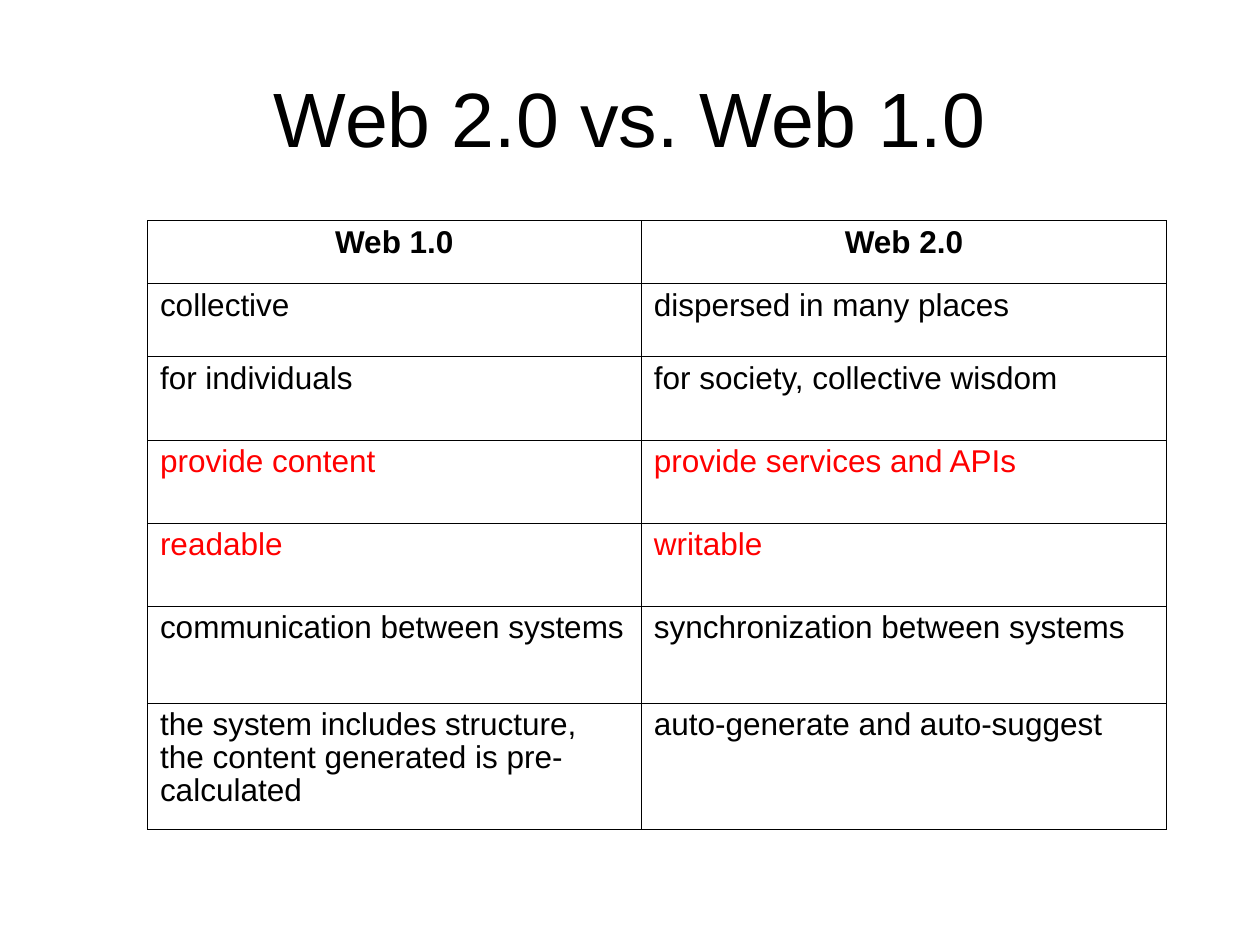
from dataclasses import dataclass

from lxml.etree import SubElement
from pptx import Presentation
from pptx.dml.color import RGBColor
from pptx.enum.text import MSO_ANCHOR, PP_ALIGN
from pptx.oxml.ns import qn
from pptx.util import Inches, Pt


@dataclass(frozen=True)
class Theme:
    font: str = "Arial"
    ink: str = "000000"
    accent: str = "FF0000"
    title_size: float = 44
    cell_size: float = 18
    line_spacing: float = 0.93
    outer_line: float = 0.5
    inner_line: float = 0.23


@dataclass(frozen=True)
class Box:
    left: float
    top: float
    width: float
    height: float


THEME = Theme()
TITLE_BOX = Box(0.5, 0.3, 9, 1.25)
TABLE_BOX = Box(1.17, 1.75, 8.09, 4.83)
COLUMN_WIDTHS = [3.92, 4.17]
ROW_HEIGHTS = [0.5, 0.58, 0.66, 0.66, 0.66, 0.77, 1]

COMPARISON = [
    ("Web 1.0", "Web 2.0"),
    ("collective", "dispersed in many places"),
    ("for individuals", "for society, collective wisdom"),
    ("provide content", "provide services and APIs"),
    ("readable", "writable"),
    ("communication between systems", "synchronization between systems"),
    ("the system includes structure, the content generated is pre-calculated",
     "auto-generate and auto-suggest"),
]
HIGHLIGHTED_ROWS = {3, 4}


def format_text(frame, size, color, align, bold=False, spacing=None):
    for para in frame.paragraphs:
        para.alignment = align
        para.line_spacing = spacing
        for span in para.runs:
            span.font.name = THEME.font
            span.font.size = Pt(size)
            span.font.bold = bold
            span.font.color.rgb = RGBColor.from_string(color)


def set_borders(cell, widths):
    properties = cell._tc.get_or_add_tcPr()
    for side, width in widths.items():
        line = SubElement(properties, qn(f"a:ln{side}"), w=str(Pt(width)))
        fill = SubElement(line, qn("a:solidFill"))
        SubElement(fill, qn("a:srgbClr"), val=THEME.ink)


def add_title(page, box, text):
    title = page.shapes.title
    title.left, title.top = Inches(box.left), Inches(box.top)
    title.width, title.height = Inches(box.width), Inches(box.height)
    frame = title.text_frame
    frame.text = text
    frame.vertical_anchor = MSO_ANCHOR.MIDDLE
    format_text(frame, THEME.title_size, THEME.ink, PP_ALIGN.CENTER)


def add_comparison(page, box, rows):
    last_row, last_column = len(rows) - 1, len(COLUMN_WIDTHS) - 1
    table = page.shapes.add_table(
        len(rows), len(COLUMN_WIDTHS), Inches(box.left), Inches(box.top),
        Inches(box.width), Inches(box.height)).table
    table.first_row = table.horz_banding = False

    # Column and row sizes share out the box
    for column, width in zip(table.columns, COLUMN_WIDTHS):
        column.width = Inches(box.width * width / sum(COLUMN_WIDTHS))
    for row, height in zip(table.rows, ROW_HEIGHTS):
        row.height = Inches(box.height * height / sum(ROW_HEIGHTS))

    # Cells: bold centred header, highlighted rows, heavier outer frame
    for r, texts in enumerate(rows):
        header = r == 0
        color = THEME.accent if r in HIGHLIGHTED_ROWS else THEME.ink
        align = PP_ALIGN.CENTER if header else PP_ALIGN.LEFT
        for c, text in enumerate(texts):
            cell = table.cell(r, c)
            cell.text_frame.text = text
            format_text(cell.text_frame, THEME.cell_size, color, align,
                        header, THEME.line_spacing)
            on_edge = {"L": c == 0, "R": c == last_column,
                       "T": r == 0, "B": r == last_row}
            set_borders(cell, {
                side: THEME.outer_line if edge else THEME.inner_line
                for side, edge in on_edge.items()})
            cell.fill.background()


def main():
    deck = Presentation()
    deck.slide_width, deck.slide_height = Inches(10), Inches(7.5)
    title_only = deck.slide_layouts.get_by_name("Title Only")
    page = deck.slides.add_slide(title_only)
    add_title(page, TITLE_BOX, "Web 2.0 vs. Web 1.0")
    add_comparison(page, TABLE_BOX, COMPARISON)
    deck.save("out.pptx")


if __name__ == "__main__":
    main()
